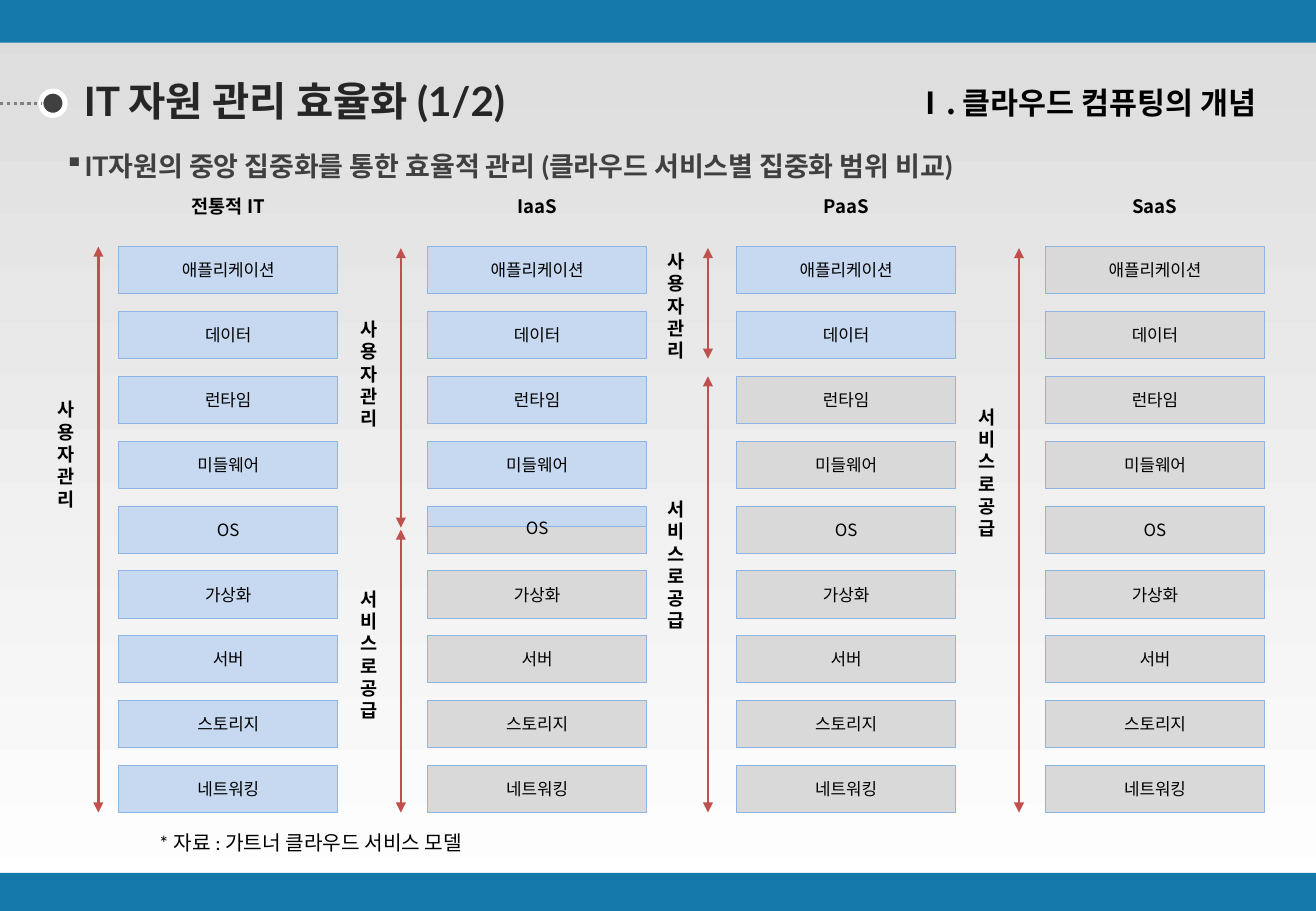
import pptx
import pptx.dml.color
import pptx.enum.dml
import pptx.enum.shapes
import pptx.enum.text
import pptx.oxml.ns
import pptx.util
from dataclasses import dataclass
from lxml import etree

TITLE = "IT 자원 관리 효율화 (1/2)"
CHAPTER = "Ⅰ. 클라우드 컴퓨팅의 개념"
SUBTITLE = "IT자원의 중앙 집중화를 통한 효율적 관리 (클라우드 서비스별 집중화 범위 비교)"
SOURCE_NOTE = "* 자료 : 가트너 클라우드 서비스 모델"
LAYERS = ["애플리케이션", "데이터", "런타임", "미들웨어", "OS", "가상화", "서버", "스토리지", "네트워킹"]
USER, PROVIDER = "사용자관리", "서비스로공급"

# name, layers run by the user, arrow x, ranges of (label, label top, start, end)
MODELS = [
    ("전통적 IT", 9, 58.3, [(USER, 232.6, (0, 0), (8, 1))]),
    ("IaaS", 4.5, 237.6, [(USER, 185, (0, 0.03), (4, 0.46)), (PROVIDER, 344.9, (4, 0.5), (8, 1))]),
    ("PaaS", 2, 419.6, [(USER, 144.7, (0, 0.03), (1, 1)), (PROVIDER, 291.6, (2, 0), (8, 1))]),
    ("SaaS", 0, 604, [(PROVIDER, 236.9, (0, 0.03), (8, 1))]),
]


@dataclass(frozen=True)
class Theme:
    band: str = "1478AA"
    back_top: str = "DCDCDC"
    white: str = "FFFFFF"
    title: str = "262626"
    dark: str = "404040"
    dots: str = "808080"
    black: str = "000000"
    user: str = "C6D9F1"
    provider: str = "D9D9D9"
    edge: str = "8EB4E3"
    arrow: str = "C0504D"
    heading_font: str = "Lato"
    note_font: str = "Calibri"
    korean_font: str = "Noto Sans CJK KR"
    title_size: int = 24
    chapter_size: int = 18
    subtitle_size: int = 16
    note_size: int = 12
    label_size: int = 11
    layer_size: int = 10


THEME = Theme()
Pt = pptx.util.Pt
ALIGN = pptx.enum.text.PP_ALIGN
ANCHOR = pptx.enum.text.MSO_ANCHOR
SHAPE = pptx.enum.shapes.MSO_SHAPE
qn = pptx.oxml.ns.qn

WIDTH, HEIGHT = 780, 540
BOX_WIDTH, BOX_HEIGHT = 130, 28
GRID_LEFT, GRID_TOP = 70.3, 146.2
COLUMN_STEP, ROW_STEP = 183.1, 38.43
HEADER_TOP = 108
LABEL_GAP, LABEL_WIDTH, LABEL_LINE = 31.2, 31.7, 16


def rgb(value):
    return pptx.dml.color.RGBColor.from_string(value)


def row_y(row, fraction=0):
    return GRID_TOP + row * ROW_STEP + fraction * BOX_HEIGHT


def add_box(page, area, fill, line=None, weight=0.5, kind=SHAPE.RECTANGLE):
    box = page.shapes.add_shape(kind, *map(Pt, area))
    box.shadow.inherit = False
    box.fill.solid()
    box.fill.fore_color.rgb = rgb(fill)
    if line:
        box.line.color.rgb = rgb(line)
        box.line.width = Pt(weight)
    else:
        box.line.fill.background()
    return box


def write(box, text, size, font=THEME.korean_font, color=THEME.black, bold=False,
          align=ALIGN.LEFT, anchor=ANCHOR.TOP, wrap=True, insets=None, bullet=None):
    frame = box.text_frame
    frame.word_wrap = wrap
    frame.vertical_anchor = anchor
    if not wrap:
        frame.auto_size = pptx.enum.text.MSO_AUTO_SIZE.SHAPE_TO_FIT_TEXT
    if insets:
        frame.margin_left, frame.margin_top, frame.margin_right, frame.margin_bottom = map(Pt, insets)
    para = frame.paragraphs[0]
    para.text = text
    para.alignment = align
    properties = para._p.get_or_add_pPr()
    if bullet:
        properties.set("marL", str(Pt(11.5)))
        properties.set("indent", str(-Pt(11.5)))
        etree.SubElement(properties, qn("a:buChar")).set("char", bullet)
    para.font.name = font
    para.font.size = Pt(size)
    para.font.bold = bold
    para.font.color.rgb = rgb(color)
    latin = properties.find(qn("a:defRPr")).find(qn("a:latin"))
    east_asian = etree.Element(qn("a:ea"))
    east_asian.set("typeface", THEME.korean_font)
    latin.addnext(east_asian)
    return para


def add_text(page, area, text, size, **style):
    return write(page.shapes.add_textbox(*map(Pt, area)), text, size, **style)


def add_line(page, start, end, color, weight, arrows=False):
    line = page.shapes.add_connector(
        pptx.enum.shapes.MSO_CONNECTOR.STRAIGHT, *map(Pt, (*start, *end)))
    line.line.color.rgb = rgb(color)
    line.line.width = Pt(weight)
    if arrows:
        outline = line.line._get_or_add_ln()
        for tip in ("a:headEnd", "a:tailEnd"):
            etree.SubElement(outline, qn(tip)).set("type", "triangle")
    etree.SubElement(line._element.spPr, qn("a:effectLst"))
    return line


def add_frame(page):
    back = page.background.fill
    back.gradient()
    back.gradient_angle = 270
    for stop, color, position in zip(back.gradient_stops, (THEME.back_top, THEME.white), (0, 1)):
        stop.color.rgb = rgb(color)
        stop.position = position
    add_box(page, (0, 517.5, WIDTH, 22.5), THEME.band)
    add_box(page, (0, 0, WIDTH, 25.3), THEME.band)


def add_headings(page):
    title = add_text(page, (24.5, 48.2, 306.7, 26), TITLE, THEME.title_size, font=THEME.heading_font,
                     color=THEME.title, bold=True, anchor=ANCHOR.MIDDLE, wrap=False,
                     insets=(25.2, 0, 14.4, 0))
    title.line_spacing = 0.9
    add_box(page, (24.2, 54, 14.4, 14.4), THEME.dark, THEME.white, 3, SHAPE.OVAL)
    dots = add_line(page, (0, 61.2), (24.2, 61.2), THEME.dots, 2)
    dots.line.dash_style = pptx.enum.dml.MSO_LINE.ROUND_DOT
    add_text(page, (38.2, 88.6, 560.9, 19.4), SUBTITLE, THEME.subtitle_size, font=THEME.heading_font,
             color=THEME.dark, bold=True, wrap=False, insets=(0, 0, 0, 0), bullet="▪")
    add_text(page, (386.6, 46.1, 365, 30.2), CHAPTER, THEME.chapter_size, bold=True, align=ALIGN.RIGHT)
    add_text(page, (87.1, 488.9, 248.4, 21.6), SOURCE_NOTE, THEME.note_size, font=THEME.note_font)


def add_model(page, column, name, user_layers, arrow_x, ranges):
    left = GRID_LEFT + column * COLUMN_STEP
    centred = {"align": ALIGN.CENTER, "anchor": ANCHOR.MIDDLE}
    add_text(page, (left, HEADER_TOP, BOX_WIDTH, BOX_HEIGHT), name, THEME.label_size, bold=True, **centred)
    for row, layer in enumerate(LAYERS):
        fill = THEME.user if row < user_layers else THEME.provider
        box = add_box(page, (left, row_y(row), BOX_WIDTH, BOX_HEIGHT), fill, THEME.edge)
        if 0 < user_layers - row < 1:
            half = BOX_HEIGHT * 0.56
            add_box(page, (left, row_y(row + 0, 0.44), BOX_WIDTH, half), THEME.provider, THEME.edge)
            box = page.shapes.add_textbox(*map(Pt, (left, row_y(row) - 1.2, BOX_WIDTH, BOX_HEIGHT)))
        write(box, layer, THEME.layer_size, **centred)
    for label, label_top, start, end in ranges:
        add_line(page, (arrow_x, row_y(*start)), (arrow_x, row_y(*end)), THEME.arrow, 1.5, arrows=True)
        add_text(page, (arrow_x - LABEL_GAP, label_top, LABEL_WIDTH, LABEL_LINE * len(label)),
                 label, THEME.label_size, bold=True)


def main():
    deck = pptx.Presentation()
    deck.slide_width, deck.slide_height = Pt(WIDTH), Pt(HEIGHT)
    page = deck.slides.add_slide(deck.slide_layouts[6])
    add_frame(page)
    add_headings(page)
    for column, model in enumerate(MODELS):
        add_model(page, column, *model)
    deck.save("out.pptx")


if __name__ == "__main__":
    main()
